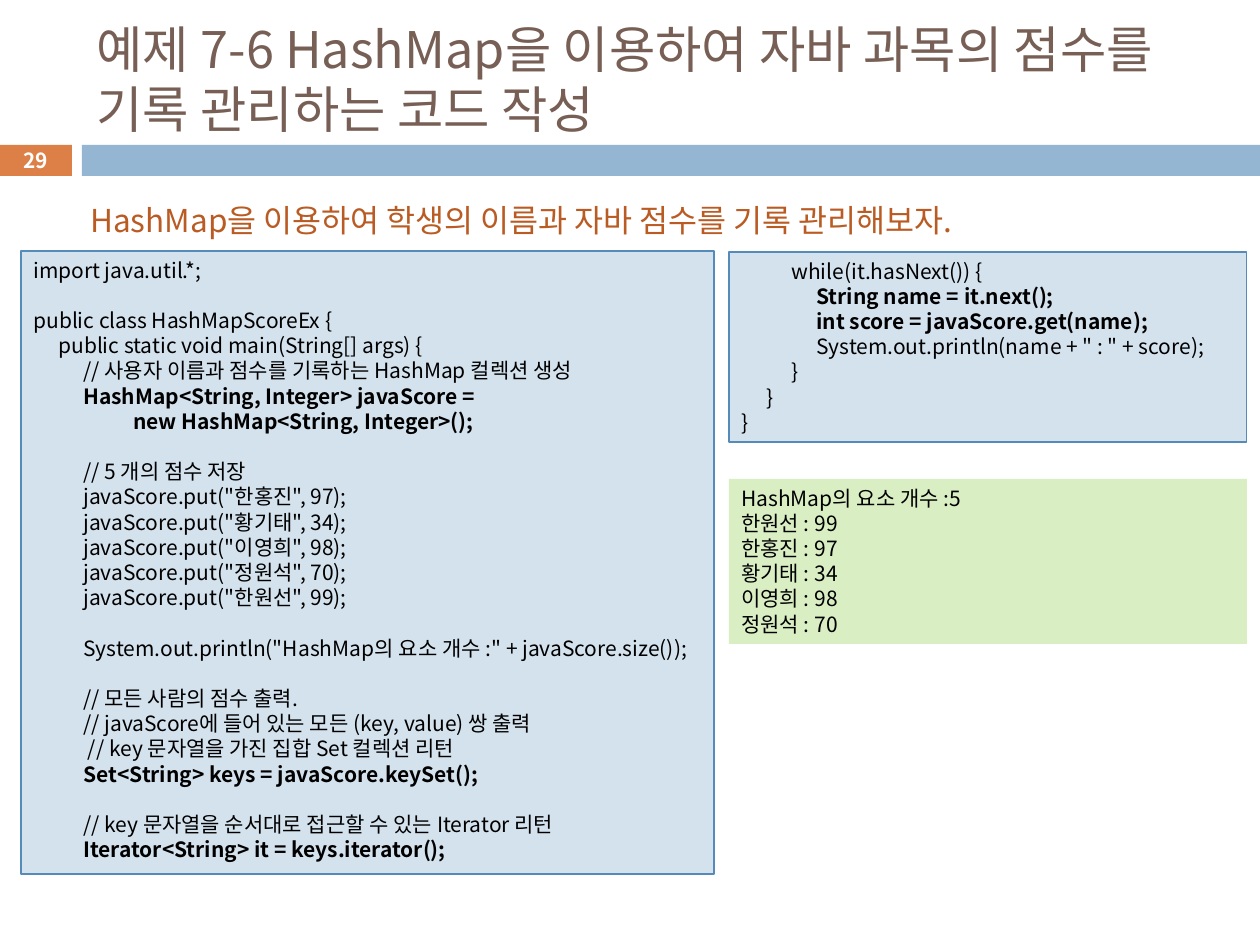
"""Builds the HashMap score example slide with its code and output panels."""
from lxml import etree
from pptx import Presentation
from pptx.dml.color import RGBColor
from pptx.enum.shapes import MSO_SHAPE
from pptx.enum.text import MSO_ANCHOR, MSO_AUTO_SIZE, PP_ALIGN
from pptx.oxml.ns import qn
from pptx.util import Emu, Pt

PX = 914400 // 126
INDENT = 25
FONT = "Noto Sans CJK KR"
BROWN = RGBColor(0x77, 0x5F, 0x55)
ORANGE = RGBColor(0xDD, 0x80, 0x47)
RUST = RGBColor(0xB9, 0x5B, 0x22)
BLUE = RGBColor(0x94, 0xB6, 0xD2)
PALE_BLUE = RGBColor(0xD4, 0xE2, 0xED)
EDGE_BLUE = RGBColor(0x55, 0x8B, 0xB8)
PALE_GREEN = RGBColor(0xDA, 0xEE, 0xC4)
BLACK = RGBColor(0, 0, 0)
WHITE = RGBColor(255, 255, 255)


def write(shape, lines, size, color, anchor=MSO_ANCHOR.TOP, align=PP_ALIGN.LEFT):
    frame = shape.text_frame
    settings = {"word_wrap": True, "auto_size": MSO_AUTO_SIZE.NONE,
                "vertical_anchor": anchor, "margin_right": 0}
    if align == PP_ALIGN.CENTER:
        settings["margin_left"] = 0
    for name, value in settings.items():
        setattr(frame, name, value)
    pitch = Pt(size * 1.2)
    for number, (depth, text, bold, gap) in enumerate(lines):
        paragraph = frame.add_paragraph() if number else frame.paragraphs[0]
        layout = {"alignment": align, "line_spacing": pitch,
                  "space_before": pitch if gap else Pt(0), "space_after": Pt(0)}
        for name, value in layout.items():
            setattr(paragraph, name, value)
        properties = paragraph._p.get_or_add_pPr()
        properties.set("marL", str(depth * INDENT * PX))
        properties.set("indent", "0")
        run = paragraph.add_run()
        run.text = text
        for name, value in {"name": FONT, "size": Pt(size), "bold": bold}.items():
            setattr(run.font, name, value)
        run.font.color.rgb = color
        etree.SubElement(run.font._element, qn("a:ea")).set("typeface", FONT)


def add_panel(box, fill, edge=None):
    panel = slide.shapes.add_shape(MSO_SHAPE.RECTANGLE, *(Emu(n * PX) for n in box))
    panel.shadow.inherit = False
    panel.fill.solid()
    panel.fill.fore_color.rgb = fill
    if edge is None:
        panel.line.fill.background()
    else:
        panel.line.color.rgb = edge
        panel.line.width = Pt(0.75)
    return panel


presentation = Presentation()
presentation.slide_width = Emu(1260 * PX)
presentation.slide_height = Emu(945 * PX)
slide = presentation.slides.add_slide(presentation.slide_layouts[5])

heading = slide.shapes.title
for side, length in {"left": 84, "top": 32, "width": 1124, "height": 93}.items():
    setattr(heading, side, Emu(length * PX))
write(heading, [(0, "예제 7-6 HashMap을 이용하여 자바 과목의 점수를 기록 관리하는 코드 작성", False, False)],
      28.8, BROWN, MSO_ANCHOR.MIDDLE)

page_number = add_panel((0, 145, 72, 31), ORANGE)
write(page_number, [(0, "29", True, False)], 11.9, WHITE, MSO_ANCHOR.MIDDLE, PP_ALIGN.CENTER)
add_panel((82, 145, 1178, 31), BLUE)

task = slide.shapes.add_textbox(*(Emu(n * PX) for n in (78, 195, 1097, 50)))
write(task, [(0, "HashMap을 이용하여 학생의 이름과 자바 점수를 기록 관리해보자.", False, False)], 18, RUST)

scores = {"한홍진": 97, "황기태": 34, "이영희": 98, "정원석": 70, "한원선": 99}
setup_code = [
    (0, "import java.util.*;", False, False),
    (0, "public class HashMapScoreEx {", False, True),
    (1, "public static void main(String[] args) {", False, False),
    (2, "// 사용자 이름과 점수를 기록하는 HashMap 컬렉션 생성", False, False),
    (2, "HashMap<String, Integer> javaScore =", True, False),
    (4, "new HashMap<String, Integer>();", True, False),
    (2, "// 5 개의 점수 저장", False, True),
    *[(2, f'javaScore.put("{name}", {score});', False, False) for name, score in scores.items()],
    (2, 'System.out.println("HashMap의 요소 개수 :" + javaScore.size());', False, True),
    (2, "// 모든 사람의 점수 출력.", False, True),
    (2, "// javaScore에 들어 있는 모든 (key, value) 쌍 출력", False, False),
    (2, " // key 문자열을 가진 집합 Set 컬렉션 리턴", False, False),
    (2, "Set<String> keys = javaScore.keySet();", True, False),
    (2, "// key 문자열을 순서대로 접근할 수 있는 Iterator 리턴", False, True),
    (2, "Iterator<String> it = keys.iterator();", True, False),
]
loop_code = [
    (2, "while(it.hasNext()) {", False, False),
    (3, "String name = it.next();", True, False),
    (3, "int score = javaScore.get(name);", True, False),
    (3, 'System.out.println(name + " : " + score);', False, False),
    *[(depth, "}", False, False) for depth in (2, 1, 0)],
]
printed_order = ["한원선", "한홍진", "황기태", "이영희", "정원석"]
output = [(0, "HashMap의 요소 개수 :5", False, False)]
output += [(0, f"{name} : {scores[name]}", False, False) for name in printed_order]

for box, fill, edge, lines in [
    ((21, 251, 693, 623), PALE_BLUE, EDGE_BLUE, setup_code),
    ((729, 252, 518, 190), PALE_BLUE, EDGE_BLUE, loop_code),
    ((729, 479, 518, 165), PALE_GREEN, None, output),
]:
    write(add_panel(box, fill, edge), lines, 12, BLACK)

presentation.save("out.pptx")
